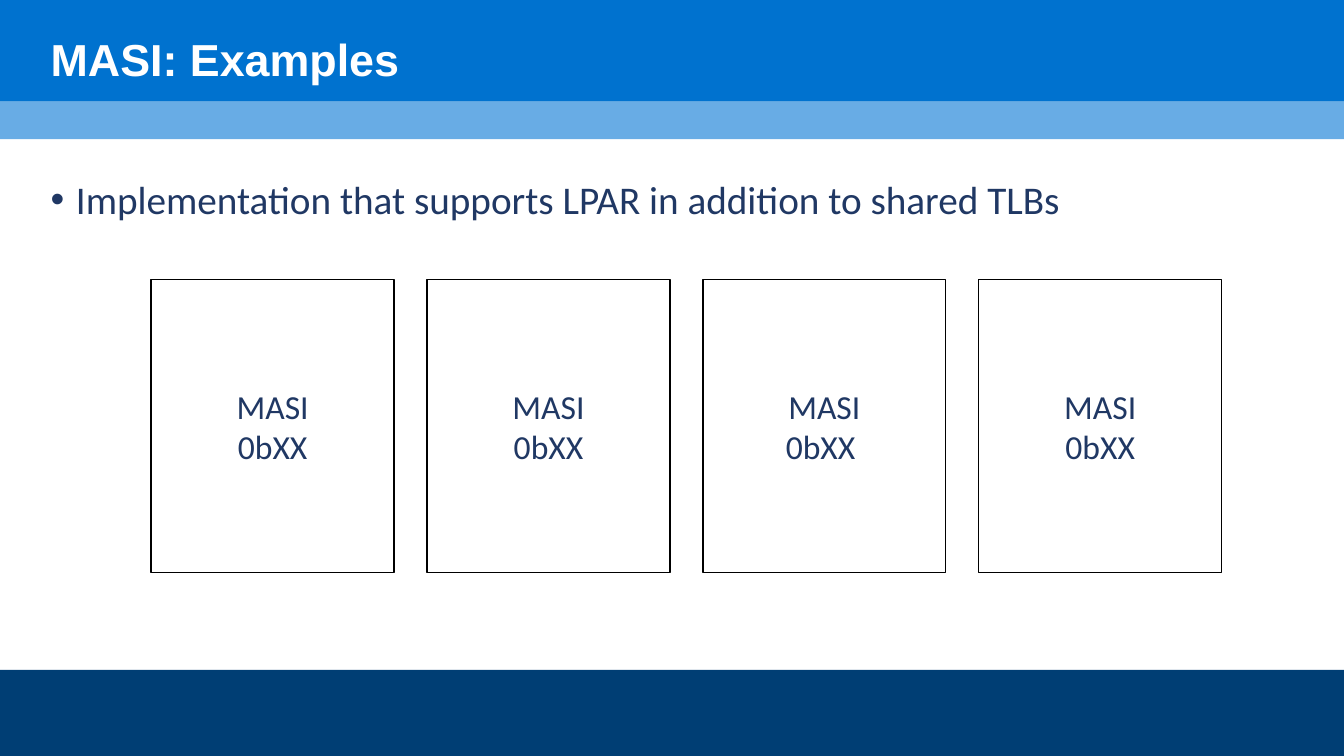
from pptx import Presentation
from pptx.dml.color import RGBColor
from pptx.enum.shapes import MSO_SHAPE
from pptx.enum.text import MSO_ANCHOR, MSO_AUTO_SIZE, PP_ALIGN
from pptx.oxml.ns import qn
from pptx.util import Cm, Pt
from lxml.etree import SubElement

WHITE = RGBColor(0xFF, 0xFF, 0xFF)
BLACK = RGBColor(0, 0, 0)
BLUE = RGBColor(0x00, 0x72, 0xCF)
SKY = RGBColor(0x68, 0xAC, 0xE5)
NAVY = RGBColor(0x00, 0x3E, 0x74)
INK = RGBColor(0x20, 0x38, 0x64)
WIDTH = Cm(33.86)


def add_box(left, top, width, height, fill):
    box = slide.shapes.add_shape(MSO_SHAPE.RECTANGLE, left, top, width, height)
    box.shadow.inherit = False
    box.fill.solid()
    box.fill.fore_color.rgb = fill
    box.line.fill.background()
    return box


def add_text(para, text, size, name, color, bold=False):
    run = para.add_run()
    run.text = text
    run.font.size = Pt(size)
    run.font.name = name
    run.font.color.rgb = color
    run.font.bold = bold


deck = Presentation()
deck.slide_width = WIDTH
deck.slide_height = Cm(19.05)
slide = deck.slides.add_slide(deck.slide_layouts[1])
title = slide.shapes.title
body = slide.placeholders[1]

for top, height, fill in [(0, 2.56, BLUE), (2.56, 0.95, SKY), (16.88, 2.17, NAVY)]:
    band = add_box(0, Cm(top), WIDTH, Cm(height), fill)
    title.element.addprevious(band.element)

for holder, top, height, anchor in [
    (title, 0.66, 1.8, MSO_ANCHOR.MIDDLE),
    (body, 4.42, 12.09, MSO_ANCHOR.TOP),
]:
    holder.left, holder.top = Cm(1.02), Cm(top)
    holder.width, holder.height = Cm(31.75), Cm(height)
    frame = holder.text_frame
    frame.word_wrap = True
    frame.auto_size = MSO_AUTO_SIZE.NONE
    frame.vertical_anchor = anchor
    para = frame.paragraphs[0]
    para.alignment = PP_ALIGN.LEFT
    para.line_spacing = 0.9
    para.space_before = Pt(0)

add_text(title.text_frame.paragraphs[0], "MASI: Examples", 32, "Arial", WHITE, True)

item = body.text_frame.paragraphs[0]
props = item._p.get_or_add_pPr()
props.set("marL", str(Cm(0.64)))
props.set("indent", str(-Cm(0.64)))
SubElement(props, qn("a:buFont")).set("typeface", "Arial")
SubElement(props, qn("a:buChar")).set("char", "•")
add_text(item, "Implementation that supports LPAR in addition to shared TLBs", 28, "Calibri", INK)

for col, code in enumerate(["0bXX", "0bXX", "0bXX ", "0bXX"]):
    card = add_box(Cm(3.81 + 6.95 * col), Cm(7.04), Cm(6.12), Cm(7.39), WHITE)
    card.line.color.rgb = BLACK
    card.line.width = Pt(1)
    frame = card.text_frame
    frame.word_wrap = True
    frame.vertical_anchor = MSO_ANCHOR.MIDDLE
    for row, text in enumerate(["MASI", code]):
        para = frame.add_paragraph() if row else frame.paragraphs[0]
        para.alignment = PP_ALIGN.CENTER
        add_text(para, text, 24, "Calibri", INK)

deck.save("out.pptx")
